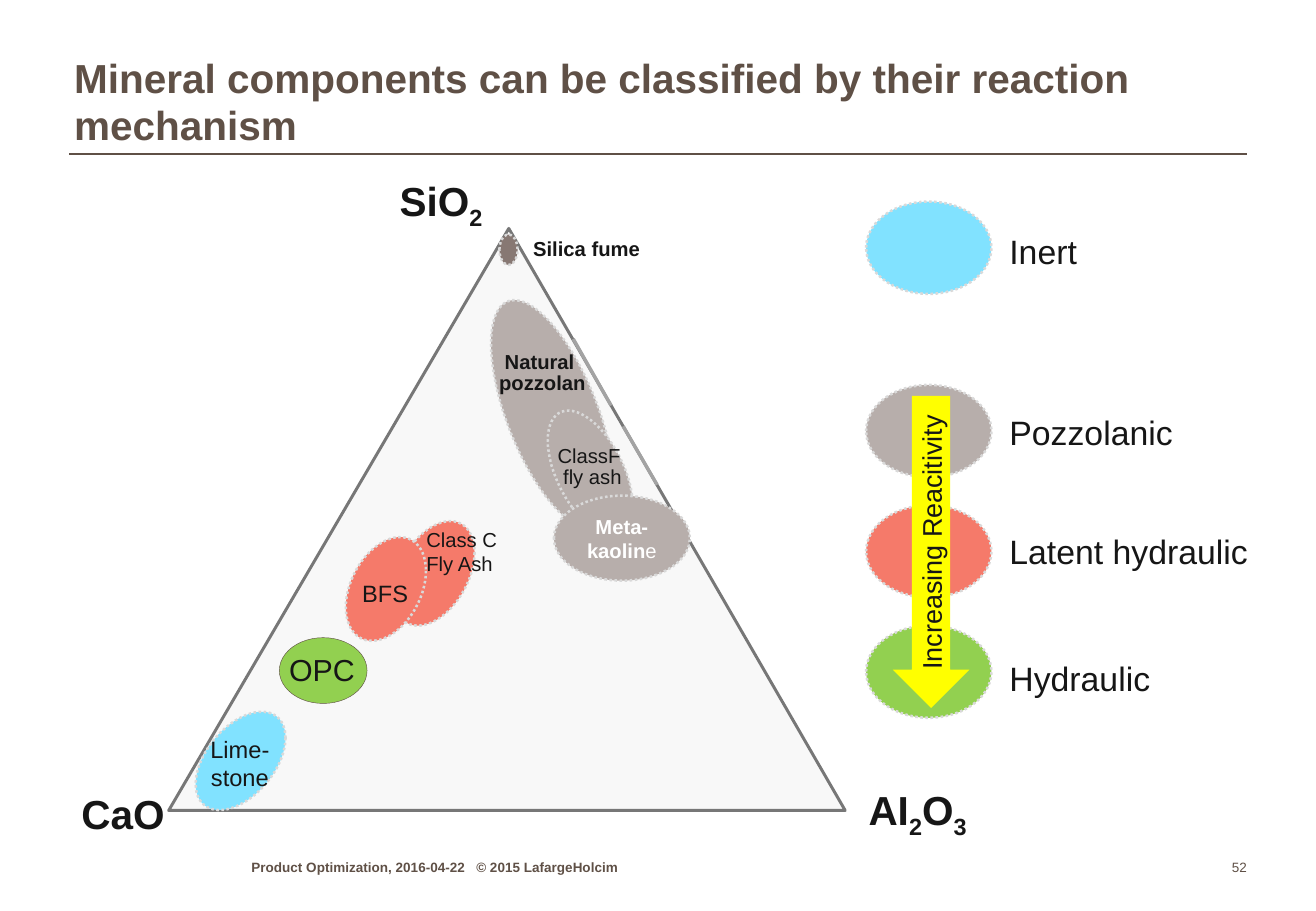
from dataclasses import dataclass
from math import asin, cos, pi, sin
from lxml.etree import SubElement
from pptx import Presentation
from pptx.dml.color import RGBColor as Rgb
from pptx.enum.dml import MSO_LINE as Dash
from pptx.enum.shapes import MSO_CONNECTOR as Link, MSO_SHAPE as Form
from pptx.enum.text import MSO_ANCHOR as Anchor, PP_ALIGN as Align
from pptx.oxml.ns import qn
from pptx.util import Pt


@dataclass(frozen=True)
class Theme:
    """Colours, font and type sizes of the slide."""
    font: str = "Arial"
    brown: str = "5F5046"
    ink: str = "161616"
    white: str = "FFFFFF"
    pale: str = "F8F8F8"
    edge: str = "777777"
    gleam: str = "A3A3A3"
    dots: str = "D9D9D9"
    fume: str = "877873"
    inert: str = "81E2FF"
    pozz: str = "B7AEAB"
    latent: str = "F57A6A"
    hydro: str = "92D050"
    arrow: str = "FFFF00"
    head: int = 24
    key: int = 20
    big: int = 18
    scale: int = 16
    mid: int = 14
    small: int = 12
    foot: int = 8


T = Theme()


def place(box, dx, dy, w, h):
    """Return EMU left, top, width and height of a part inside a box."""
    return Pt(box[0] + dx), Pt(box[1] + dy), Pt(w), Pt(h)


def write(frame, parts, size, color=T.ink, bold=False, align=Align.LEFT, space=None):
    """Fill a frame with text parts, lowering those that are digits."""
    frame.text = parts[0]
    for part in parts[1:]:
        frame.paragraphs[-1].add_run().text = part
    for para in frame.paragraphs:
        para.alignment = align
        if space:
            para.line_spacing = space
        for run in para.runs:
            font = run.font
            font.name, font.size, font.bold = T.font, Pt(size), bold
            font.color.rgb = Rgb.from_string(color)
            if len(parts) > 1 and run.text.isdigit():
                run._r.get_or_add_rPr().set("baseline", "-25000")


def pad(frame, anchor=Anchor.TOP):
    """Clear the insets of a wrapping frame."""
    frame.margin_left = frame.margin_right = frame.margin_top = frame.margin_bottom = 0
    frame.word_wrap, frame.vertical_anchor = True, anchor


def label(slide, spot, parts, size, anchor=Anchor.TOP, **style):
    """Add a text box without insets."""
    frame = slide.shapes.add_textbox(*spot).text_frame
    pad(frame, anchor)
    write(frame, parts, size, **style)
    return frame


def paint(shape, fill, line=T.dots, width=1.5, dash=Dash.ROUND_DOT):
    """Set fill and outline of a shape."""
    shape.shadow.inherit = False
    shape.fill.solid()
    shape.fill.fore_color.rgb = Rgb.from_string(fill)
    if line is None:
        shape.line.fill.background()
        return
    shape.line.color.rgb = Rgb.from_string(line)
    shape.line.width = Pt(width)
    if dash:
        shape.line.dash_style = dash


def oval(slide, spot, fill, **style):
    """Add a painted ellipse."""
    shape = slide.shapes.add_shape(Form.OVAL, *spot)
    paint(shape, fill, **style)
    return shape


def outline(slide, points, fill, **style):
    """Add a closed painted outline."""
    build = slide.shapes.build_freeform(*points[0])
    build.add_line_segments(points[1:], close=True)
    paint(build.convert_to_shape(), fill, **style)


def blob(slide, spot, skew, fill):
    """Add an ellipse leaning inside its box by a skew from -1 to 1."""
    x, y, w, h = spot
    turns = [2 * pi * i / 60 for i in range(60)]
    points = [(int(x + w / 2 * (1 + cos(t))), int(y + h / 2 * (1 + sin(t + asin(skew)))))
              for t in turns]
    outline(slide, points, fill)


def rule(slide, start, end, color, width):
    """Add a straight line between two points."""
    line = slide.shapes.add_connector(Link.STRAIGHT, *map(Pt, start + end))
    line.line.color.rgb = Rgb.from_string(color)
    line.line.width = Pt(width)
    SubElement(line._element.spPr, qn("a:effectLst"))


def heading(slide, box):
    """Place the title and the rule below it."""
    x, y, w, h = box
    title = slide.shapes.title
    title.left, title.top, title.width, title.height = place(box, 3, 0, w - 7, h - 3)
    pad(title.text_frame, Anchor.BOTTOM)
    write(title.text_frame, ["Mineral components can be classified by their reaction mechanism"],
          T.head, T.brown, True, space=0.95)
    rule(slide, (x, y + h), (x + w, y + h), T.brown, 1)


def ternary(slide, box):
    """Draw the ternary diagram with its material fields."""
    x, y, w, h = box
    corners = [(x, y + h), (x + w, y + h), (x + 201.6, y)]
    outline(slide, [(Pt(a), Pt(b)) for a, b in corners], T.pale,
            line=T.edge, width=1.75, dash=None)
    for *spot, skew, fill in [
        (191, 42.5, 73, 136, 0.62, T.pozz),
        (133.3, 173.5, 48, 62, -0.4, T.latent),
        (105, 183, 47.5, 61.5, -0.35, T.latent),
        (224.7, 108, 50.4, 74, 0.52, T.pozz),
        (16, 286.5, 53.3, 58.3, -0.47, T.inert),
    ]:
        blob(slide, place(box, *spot), skew, fill)
    oval(slide, place(box, 65.6, 242.6, 52, 39), T.hydro, line=T.brown, width=0.25, dash=None)
    oval(slide, place(box, 196, 3.6, 10.8, 18), T.fume)
    meta = oval(slide, place(box, 228.3, 158.4, 80.6, 50.4), T.pozz).text_frame
    meta.word_wrap, meta.vertical_anchor = True, Anchor.MIDDLE
    write(meta, ["Meta-kaolin", "e"], T.small, T.white, True, Align.CENTER)
    meta.paragraphs[0].runs[1].font.bold = False
    for a, b, c, d in [(239.8, 65.5, 262.2, 105), (269.4, 117.3, 289.5, 152)]:
        rule(slide, (x + a, y + b), (x + c, y + d), T.gleam, 2)
    bold, mid = {"bold": True}, {"align": Align.CENTER}
    tight = {"space": 0.85}
    for *spot, parts, size, style in [
        (-51.8, 332, 54, 29, ["CaO"], T.head, bold),
        (136.9, -31, 54, 29, ["SiO", "2"], T.head, bold),
        (414.8, 329.7, 64, 29, ["AI", "2", "O", "3"], T.head, bold),
        (216, 4.7, 70, 15, ["Silica fume"], T.small, bold),
        (193, 74, 57, 24.5, ["Natural \vpozzolan"], T.small, bold | mid | tight),
        (230.5, 129.6, 78, 24.5, ["ClassF\v fly ash"], T.small, tight),
        (152.7, 177, 48, 29, ["Class C\nFly Ash"], T.small, {}),
        (114.6, 208, 32, 17, ["BFS"], T.mid, {}),
        (71.4, 250.5, 44, 29, ["OPC"], T.big, {}),
        (22.6, 300, 39.3, 34, ["Lime-\vstone"], T.mid, mid),
    ]:
        label(slide, place(box, *spot), parts, size, **style)


def legend(slide, box):
    """List the reaction classes and the reactivity arrow."""
    for text, fill, dy, drop in [
        ("Inert", T.inert, 0, 17.3),
        ("Pozzolanic", T.pozz, 108.7, 15.8),
        ("Latent hydraulic", T.latent, 180, 15.1),
        ("Hydraulic", T.hydro, 251.3, 19.4),
    ]:
        oval(slide, place(box, 0, dy, 74.2, 54.7), fill)
        label(slide, place(box, 84.9, dy + drop, 150, 24.5), [text], T.key)
    arrow = slide.shapes.add_shape(Form.DOWN_ARROW, *place(box, 15.8, 115.2, 45.4, 185))
    paint(arrow, T.arrow, line=None)
    frame = arrow.text_frame
    frame.vertical_anchor = Anchor.MIDDLE
    frame._txBody.bodyPr.set("vert", "vert270")
    write(frame, ["Increasing Reacitivity"], T.scale, align=Align.CENTER)


def footer(slide, box):
    """Place the source line and the page number."""
    w, h = box[2:]
    frame = label(slide, place(box, 0, 0, 250, h),
                  ["Product Optimization, 2016-04-22\t© 2015 LafargeHolcim"],
                  T.foot, Anchor.BOTTOM, color=T.brown, bold=True)
    tabs = SubElement(frame.paragraphs[0]._p.get_or_add_pPr(), qn("a:tabLst"))
    SubElement(tabs, qn("a:tab"), pos=str(Pt(133.3)), algn="l")
    label(slide, place(box, w - 34, 0, 34, h), ["52"], T.foot, Anchor.BOTTOM,
          color=T.brown, align=Align.RIGHT)


def main():
    """Build and save the slide."""
    deck = Presentation()
    deck.slide_width, deck.slide_height = Pt(780), Pt(540)
    slide = deck.slides.add_slide(deck.slide_layouts[5])
    heading(slide, (41, 26, 698, 65.5))
    ternary(slide, (100, 135.4, 401, 345))
    legend(slide, (513.4, 119.5, 235, 306))
    footer(slide, (149, 505.5, 590, 13))
    deck.save("out.pptx")


if __name__ == "__main__":
    main()
